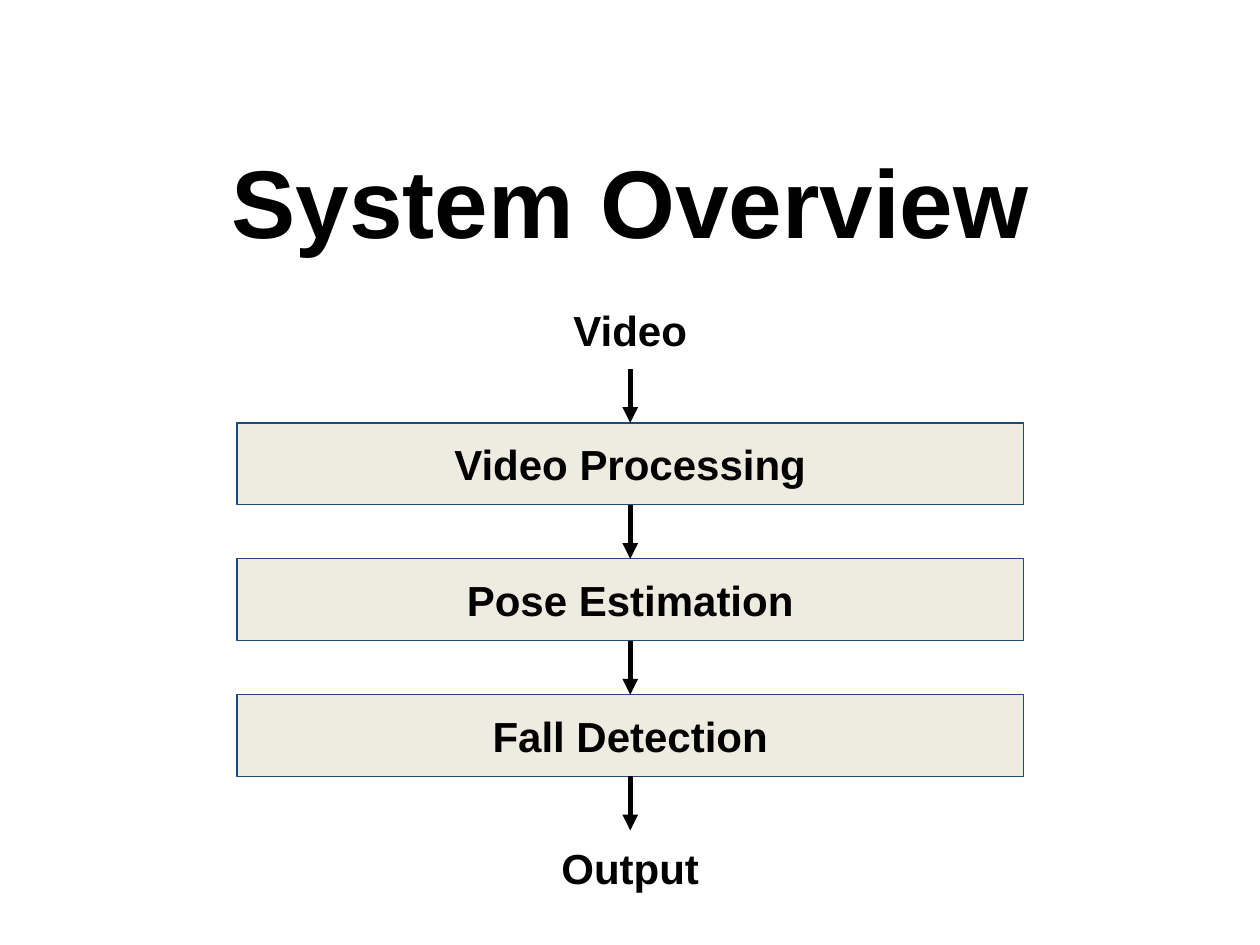
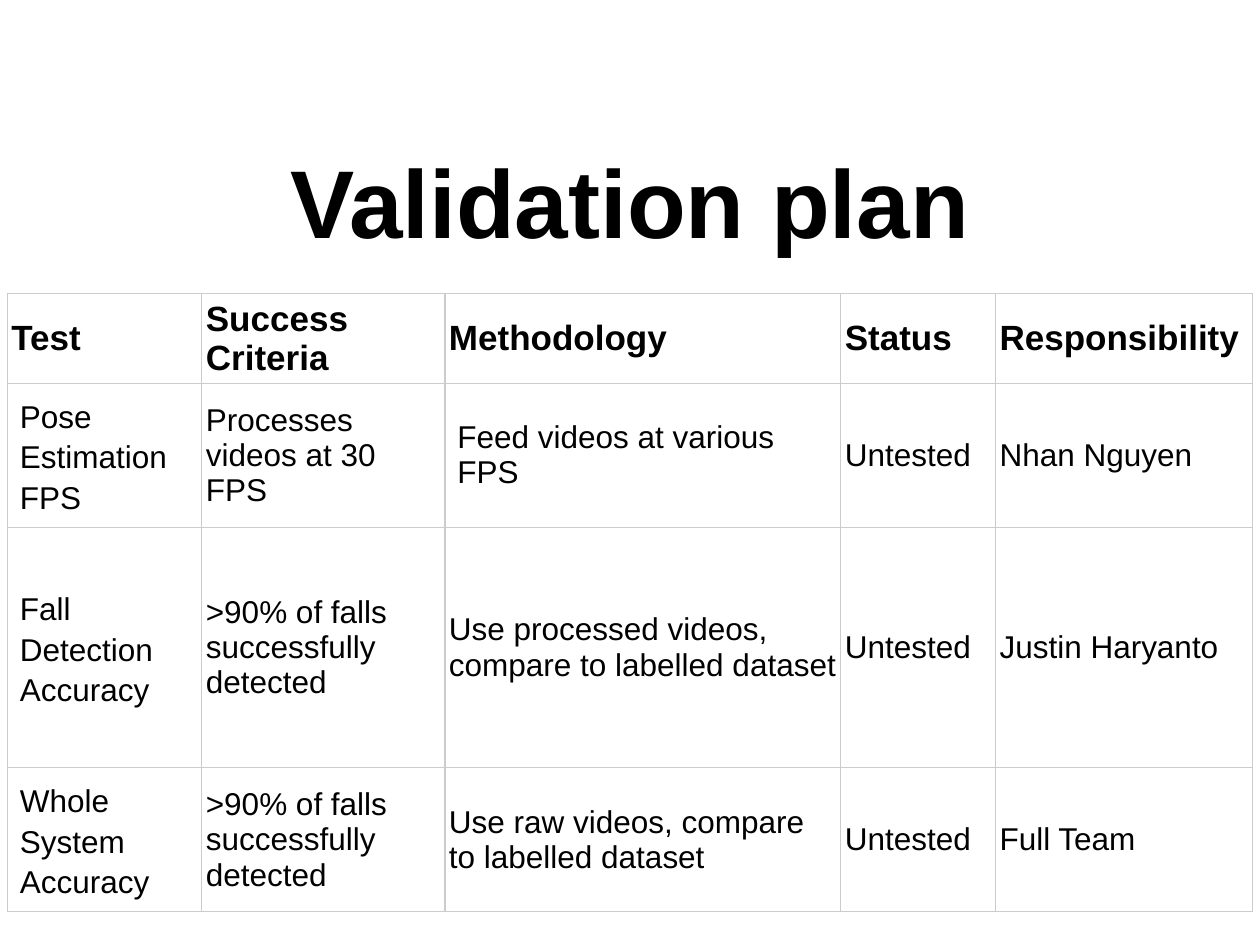
from itertools import pairwise

from lxml.etree import SubElement
from pptx import Presentation
from pptx.dml.color import RGBColor
from pptx.enum.shapes import MSO_CONNECTOR, MSO_SHAPE
from pptx.enum.text import MSO_ANCHOR, MSO_AUTO_SIZE, PP_ALIGN
from pptx.oxml import parse_xml
from pptx.oxml.ns import nsdecls, qn
from pptx.util import Cm, Pt

COLORS = {
    "text": "000000",
    "stage": "EEECE1",
    "outline": "1F497D",
    "grid": "CCCCCC",
    "cell": "FFFFFF",
}
FONT = "Arial"
SLIDE_WIDTH, SLIDE_HEIGHT = 25.4, 19.05
TITLE_BOX = (1.27, 2.92, 22.86, 2.24)
FLOW_BOX = (4.78, 5.89, 15.85, 12.4)
TABLE_BOX = (0.15, 5.92, 25.1, 12.46)

ENDPOINT, STAGE_HEIGHT, ENDPOINT_HEIGHT = "endpoint", 1.65, 1.55
FLOW = [
    ("Video", 5.82),
    ("Video Processing", None),
    ("Pose Estimation", None),
    ("Fall Detection", None),
    ("Output", 6.96),
]

COLUMN_WIDTHS = [3.92, 4.9, 7.98, 3.12, 5.18]
ROW_HEIGHTS = [1.81, 2.9, 4.85, 2.9]
VALIDATION_ROWS = [
    ["Test", "Success Criteria", "Methodology", "Status", "Responsibility"],
    ["Pose Estimation FPS", "Processes videos at 30 FPS",
     "Feed videos at various FPS", "Untested", "Nhan Nguyen"],
    ["Fall Detection Accuracy", ">90% of falls successfully detected",
     "Use processed videos, compare to labelled dataset", "Untested",
     "Justin Haryanto"],
    ["Whole System Accuracy", ">90% of falls\nsuccessfully detected",
     "Use raw videos, compare to labelled dataset", "Untested", "Full Team"],
]
INDENTED_CELLS = {(1, 0), (2, 0), (3, 0), (1, 2)}


def color(name):
    return RGBColor.from_string(COLORS[name])


def apply(target, **values):
    for name, value in values.items():
        setattr(target, name, value)


def margins(side, end):
    return {"margin_left": Cm(side), "margin_right": Cm(side),
            "margin_top": Cm(end), "margin_bottom": Cm(end)}


def write(frame, text, size, bold, align, spacing=None):
    frame.text = text
    for para in frame.paragraphs:
        apply(para, alignment=align, line_spacing=spacing)
        for span in para.runs:
            apply(span.font, name=FONT, size=Pt(size), bold=bold)
            span.font.color.rgb = color("text")


def add_page(deck, title_text):
    page = deck.slides.add_slide(deck.slide_layouts[5])
    title = page.shapes.title
    places = map(Cm, TITLE_BOX)
    apply(title, **dict(zip(("left", "top", "width", "height"), places)))
    apply(title.text_frame, auto_size=MSO_AUTO_SIZE.NONE, word_wrap=True,
          vertical_anchor=MSO_ANCHOR.MIDDLE, **margins(0.25, 0.13))
    write(title.text_frame, title_text, 55, True, PP_ALIGN.CENTER)
    return page


def add_stage(page, text, left, top, width, height, boxed):
    place = [Cm(value) for value in (left, top, width, height)]
    if boxed:
        stage = page.shapes.add_shape(MSO_SHAPE.RECTANGLE, *place)
        stage.shadow.inherit = False
        stage.fill.solid()
        stage.fill.fore_color.rgb = color("stage")
        stage.line.color.rgb = color("outline")
        stage.line.width = Pt(0.75)
    else:
        stage = page.shapes.add_textbox(*place)
    anchor = MSO_ANCHOR.MIDDLE if boxed else MSO_ANCHOR.TOP
    apply(stage.text_frame, word_wrap=True, vertical_anchor=anchor,
          **margins(0.25, 0.25))
    write(stage.text_frame, text, 24, True, PP_ALIGN.CENTER)
    return stage


def add_arrow(page, upper, lower):
    arrow = page.shapes.add_connector(MSO_CONNECTOR.STRAIGHT, 0, 0, 0, 0)
    arrow.begin_connect(upper, 2)
    arrow.end_connect(lower, 0)
    arrow.line.color.rgb = color("text")
    arrow.line.width = Pt(3)
    SubElement(arrow.line._get_or_add_ln(), qn("a:tailEnd"), type="triangle")
    SubElement(arrow._element.spPr, qn("a:effectLst"))


def add_flow(page, box):
    left, top, width, height = box
    heights = [ENDPOINT_HEIGHT if narrow else STAGE_HEIGHT for _, narrow in FLOW]
    gap = (height - sum(heights)) / (len(FLOW) - 1)
    stages = []
    for (text, narrow), stage_height in zip(FLOW, heights):
        stage_width = narrow or width
        stage_left = left + (width - stage_width) / 2
        stages.append(add_stage(page, text, stage_left, top, stage_width,
                                stage_height, narrow is None))
        top += stage_height + gap
    for upper, lower in pairwise(stages):
        add_arrow(page, upper, lower)


def add_borders(cell):
    properties = cell._tc.get_or_add_tcPr()
    for index, side in enumerate(("lnL", "lnR", "lnT", "lnB")):
        properties.insert(index, parse_xml(
            f'<a:{side} {nsdecls("a")} w="{Pt(0.75)}"><a:solidFill>'
            f'<a:srgbClr val="{COLORS["grid"]}"/></a:solidFill></a:{side}>'))


def add_validation_table(page, box):
    frame = page.shapes.add_table(len(ROW_HEIGHTS), len(COLUMN_WIDTHS),
                                  *map(Cm, box))
    table = frame.table
    apply(table, first_row=False, horz_banding=False)
    for column, width in zip(table.columns, COLUMN_WIDTHS):
        column.width = Cm(width)
    for row, height in zip(table.rows, ROW_HEIGHTS):
        row.height = Cm(height)
    for row_index, texts in enumerate(VALIDATION_ROWS):
        header = row_index == 0
        for column_index, text in enumerate(texts):
            cell = table.cell(row_index, column_index)
            indented = (row_index, column_index) in INDENTED_CELLS
            apply(cell, vertical_anchor=MSO_ANCHOR.MIDDLE,
                  **margins(0.25 if indented else 0.08, 0.05))
            spacing = 1.15 if column_index == 0 and not header else None
            write(cell.text_frame, text, 20 if header else 18, header,
                  PP_ALIGN.LEFT, spacing)
            cell.fill.solid()
            cell.fill.fore_color.rgb = color("cell")
            add_borders(cell)


def main():
    deck = Presentation()
    apply(deck, slide_width=Cm(SLIDE_WIDTH), slide_height=Cm(SLIDE_HEIGHT))
    add_flow(add_page(deck, "System Overview"), FLOW_BOX)
    add_validation_table(add_page(deck, "Validation plan"), TABLE_BOX)
    deck.save("out.pptx")


if __name__ == "__main__":
    main()
